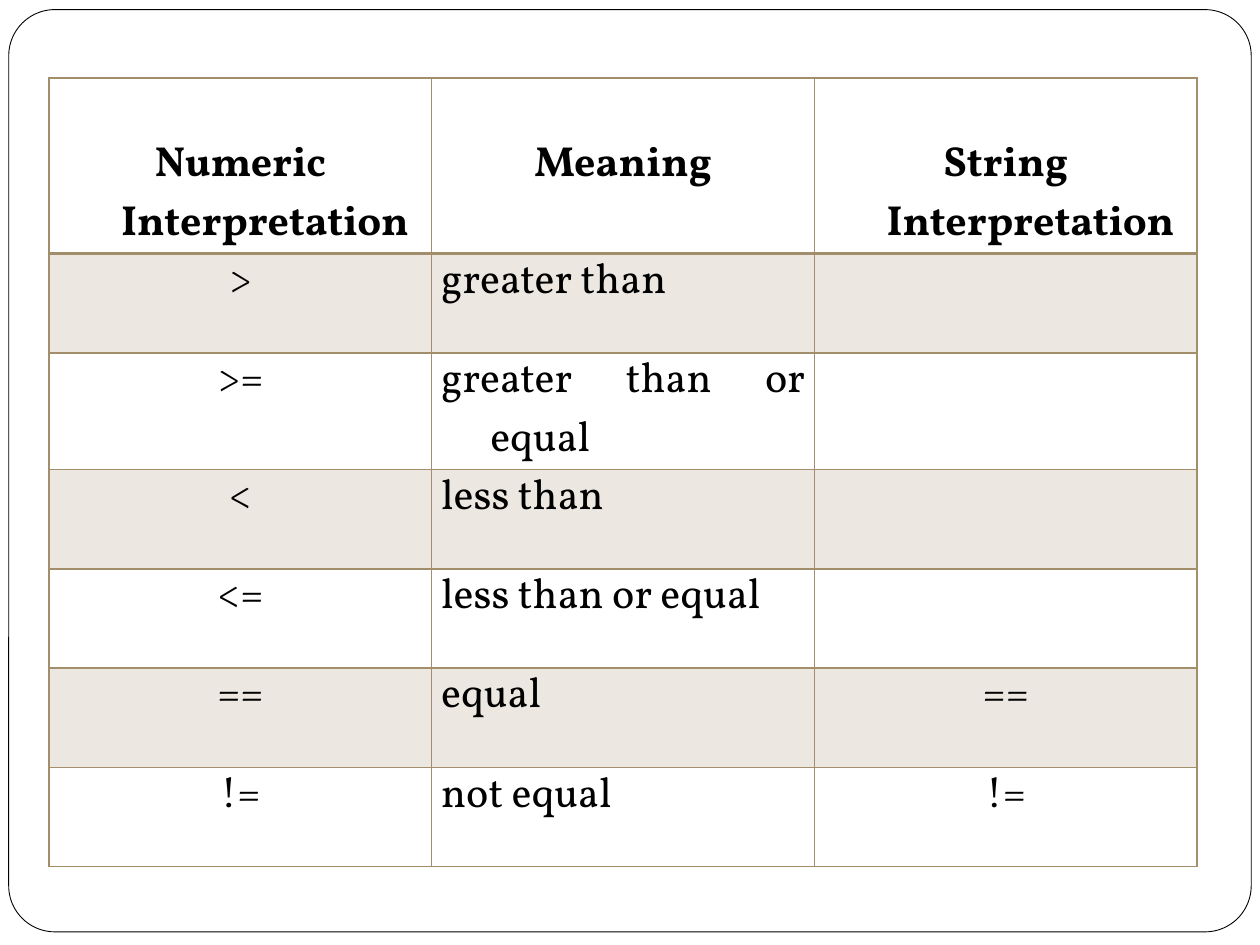
from lxml.etree import SubElement
from pptx import Presentation
from pptx.dml.color import RGBColor
from pptx.enum.shapes import MSO_SHAPE
from pptx.enum.text import PP_ALIGN
from pptx.oxml.ns import qn
from pptx.util import Pt

HEADERS = ("Numeric Interpretation", "Meaning", "String Interpretation")
OPERATORS = [
    (">", "greater than", ""),
    (">=", "greater than or equal", ""),
    ("<", "less than", ""),
    ("<=", "less than or equal", ""),
    ("==", "equal", "=="),
    ("!=", "not equal", "!="),
]
COLORS = {"white": "FFFFFF", "black": "000000", "tan": "A28E6A"}
FONT = "Vollkorn"
COLUMN_WIDTH, HEADER_HEIGHT, ROW_HEIGHT = 218.7, 92.8, 56.7
HEADER_GAP = 33.5  # space above the header text
INDENT = 28.1
BAND_OPACITY = 20


def rgb(name):
    return RGBColor.from_string(COLORS[name])


def set_borders(cell, bottom_width):
    properties = cell._tc.get_or_add_tcPr()
    for side, width in (("L", 1), ("R", 1), ("T", 1), ("B", bottom_width)):
        line = SubElement(properties, qn(f"a:ln{side}"), w=str(Pt(width)))
        fill = SubElement(line, qn("a:solidFill"))
        SubElement(fill, qn("a:srgbClr"), val=COLORS["tan"])


def set_fill(cell, banded):
    if not banded:
        cell.fill.background()
        return
    cell.fill.solid()
    cell.fill.fore_color.rgb = rgb("tan")
    color = cell._tc.tcPr.find(f"{qn('a:solidFill')}/{qn('a:srgbClr')}")
    SubElement(color, qn("a:alpha"), val=str(BAND_OPACITY * 1000))


def set_text(cell, text, alignment, bold):
    cell.margin_left = cell.margin_right = Pt(5.4)
    cell.margin_top = Pt(HEADER_GAP if bold else 0)
    cell.margin_bottom = Pt(0)
    if not text:
        return
    cell.text_frame.text = text
    paragraph = cell.text_frame.paragraphs[0]
    paragraph.alignment = alignment
    # Hanging indent
    properties = paragraph._p.get_or_add_pPr()
    properties.set("marL", str(Pt(INDENT)))
    properties.set("indent", str(-Pt(INDENT)))
    font = paragraph.runs[0].font
    font.name, font.size, font.bold = FONT, Pt(24), bold
    font.color.rgb = rgb("black")


presentation = Presentation()
presentation.slide_width, presentation.slide_height = Pt(720), Pt(540)
slide = presentation.slides.add_slide(presentation.slide_layouts[6])

# Rounded frame
frame = slide.shapes.add_shape(
    MSO_SHAPE.ROUNDED_RECTANGLE, Pt(5), Pt(5.5), Pt(710), Pt(527))
frame.adjustments[0] = 0.05
frame.shadow.inherit = False
frame.fill.solid()
frame.fill.fore_color.rgb = rgb("white")
frame.line.color.rgb = rgb("black")
frame.line.width = Pt(0.5)

# Operator table
rows = [HEADERS, *OPERATORS]
table = slide.shapes.add_table(
    len(rows), len(HEADERS), Pt(28), Pt(44.7),
    Pt(COLUMN_WIDTH * len(HEADERS)),
    Pt(HEADER_HEIGHT + ROW_HEIGHT * len(OPERATORS))).table
table.first_row = table.horz_banding = False
for column in table.columns:
    column.width = Pt(COLUMN_WIDTH)

for row_index, values in enumerate(rows):
    is_header = row_index == 0
    table.rows[row_index].height = Pt(HEADER_HEIGHT if is_header else ROW_HEIGHT)
    for column_index, text in enumerate(values):
        cell = table.cell(row_index, column_index)
        is_meaning = column_index == 1 and not is_header
        alignment = PP_ALIGN.JUSTIFY if is_meaning else PP_ALIGN.CENTER
        set_text(cell, text, alignment, is_header)
        set_borders(cell, 2 if is_header else 1)
        set_fill(cell, row_index % 2 == 1)

presentation.save("out.pptx")
